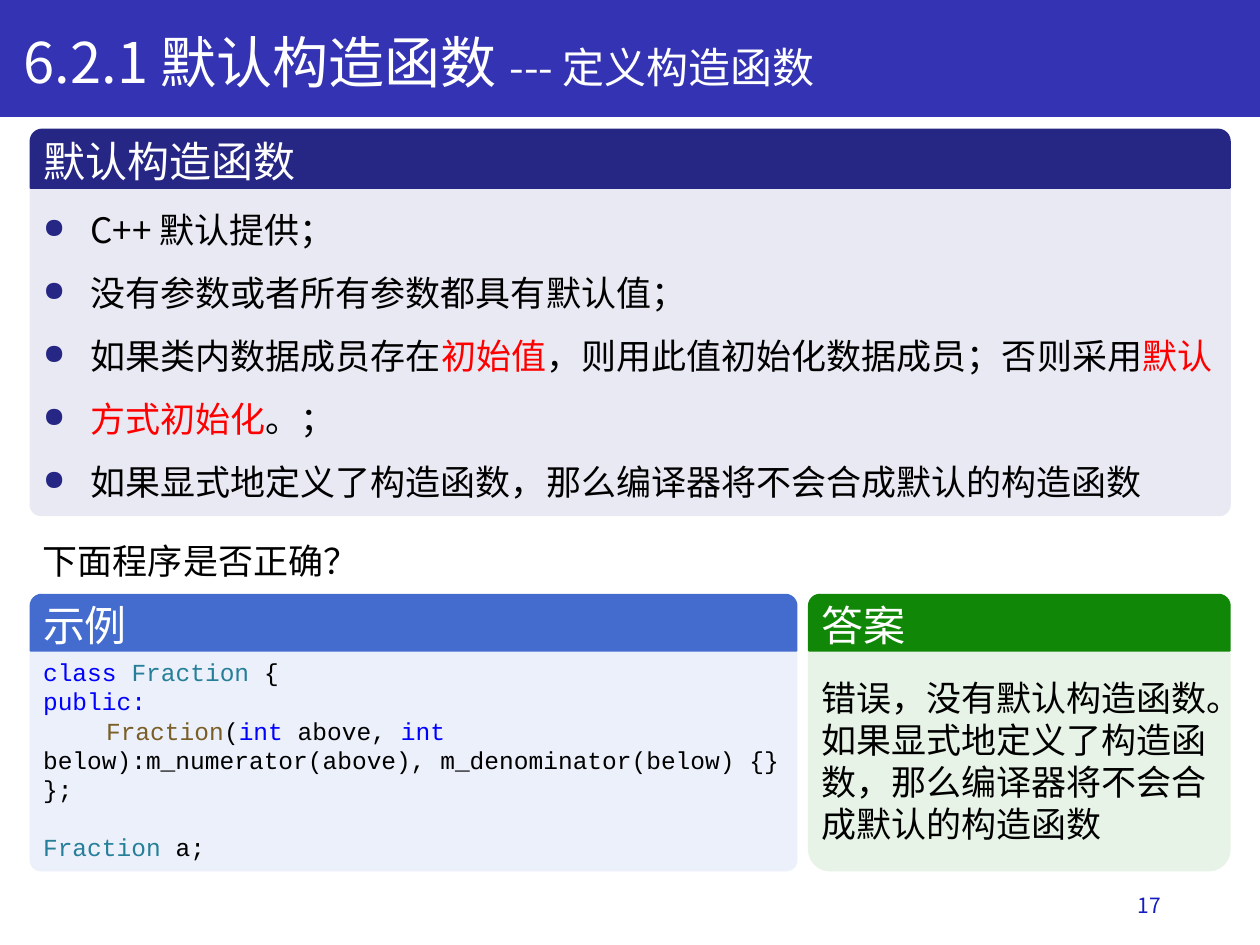
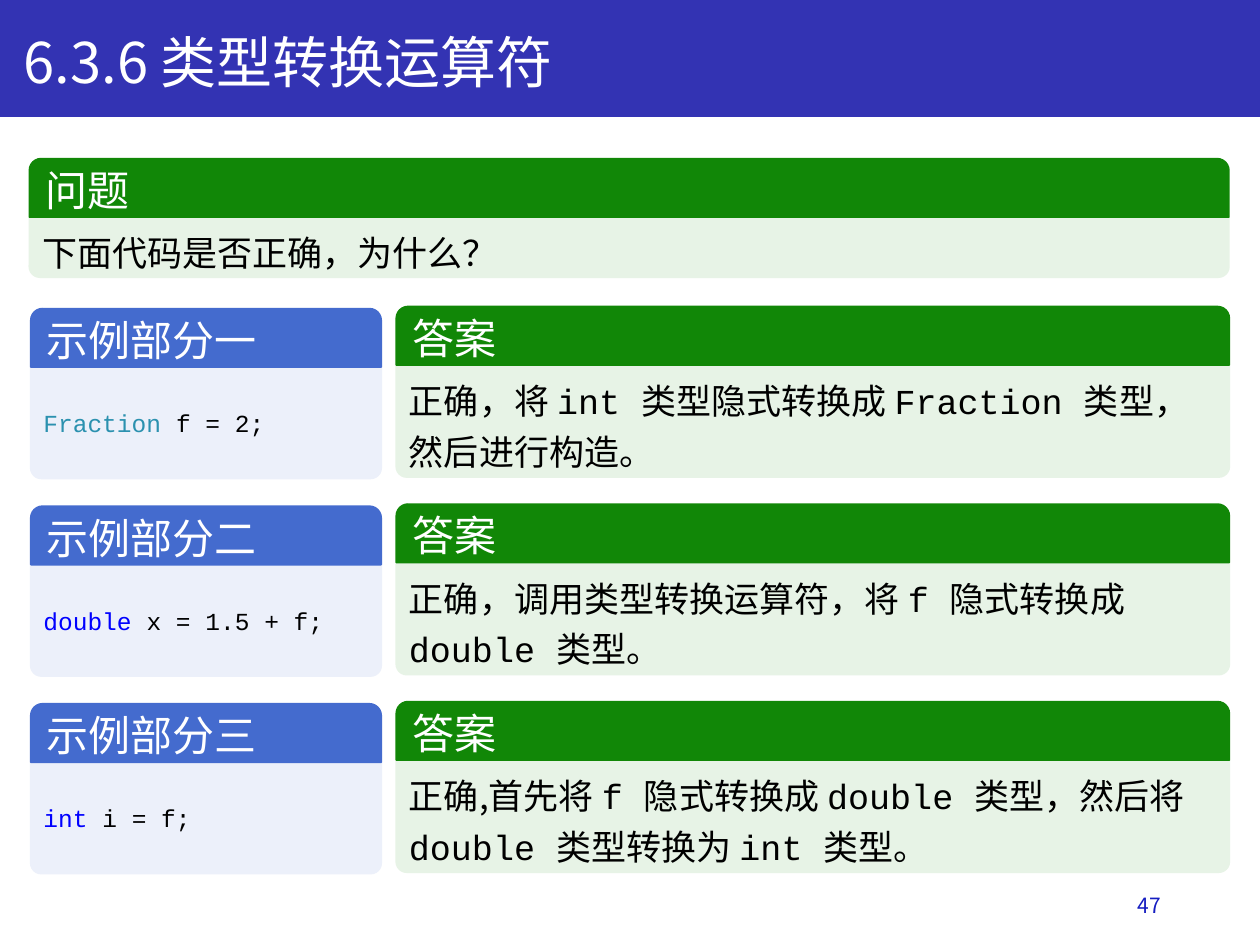
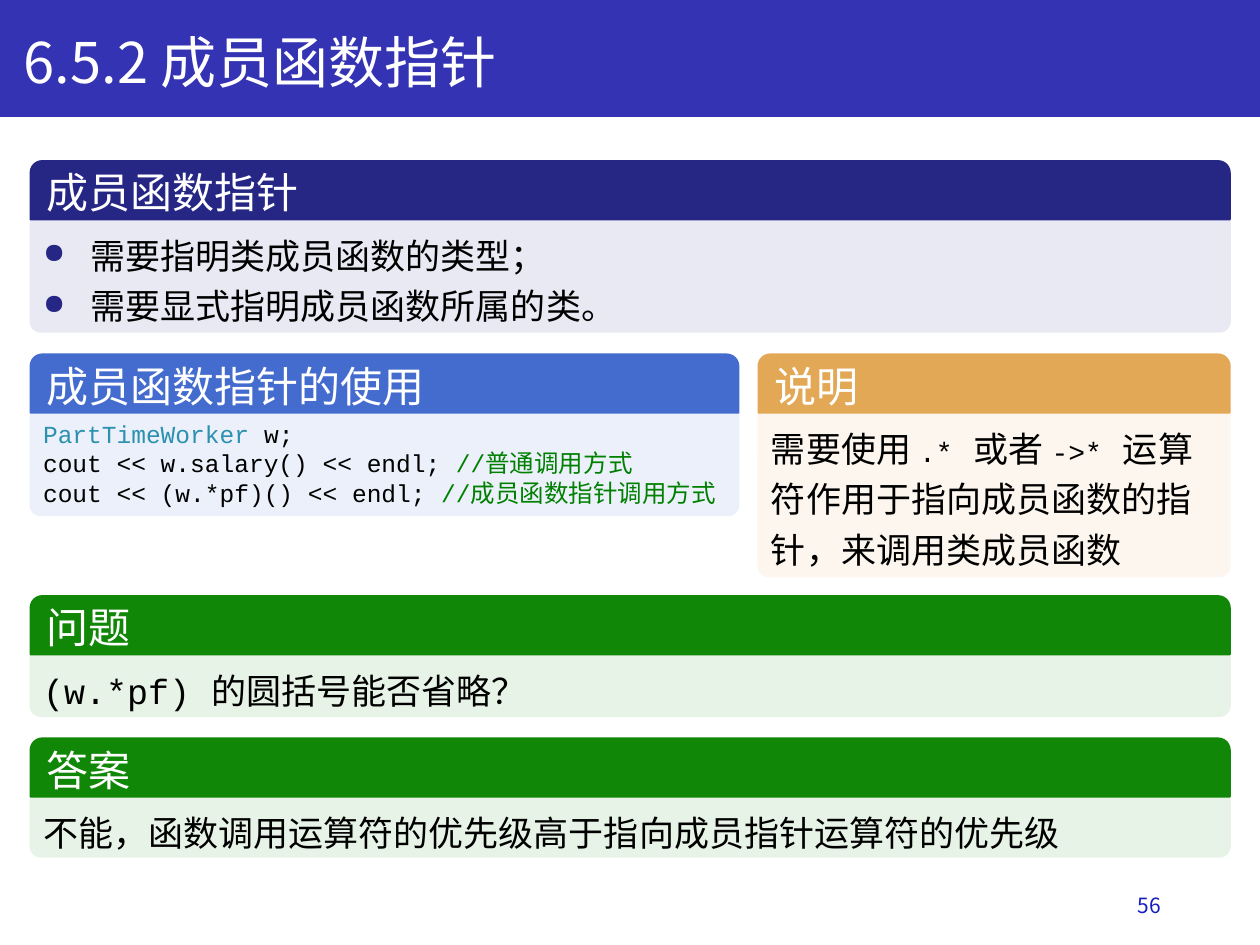
from dataclasses import dataclass

from lxml.etree import SubElement
from pptx import Presentation
from pptx.dml.color import RGBColor
from pptx.enum.shapes import MSO_SHAPE
from pptx.enum.text import MSO_ANCHOR, PP_ALIGN
from pptx.oxml.ns import qn
from pptx.util import Pt

CJK, MONO = "Noto Sans CJK SC", "Courier New"

# Text styles: font, size, colour
STYLES = {
    "title": (CJK, 32, "FFFFFF"),
    "subtitle": (CJK, 24, "FFFFFF"),
    "number": (CJK, 12, "151DC1"),
    "heading": (MONO, 24, "FFFFFF"),
    "text": (CJK, 20, "000000"),
    "warning": (CJK, 20, "FF0000"),
    "mono": (MONO, 20, "000000"),
    "operator": (MONO, 16, "000000"),
    "code": (MONO, 14, "000000"),
    "keyword": (MONO, 14, "0000FF"),
    "class": (MONO, 14, "267F99"),
    "type": (MONO, 14, "2B91AF"),
    "function": (MONO, 14, "795E26"),
    "comment": (MONO, 14, "008000"),
}

# Panel themes: heading band, body
THEMES = {
    "concept": ("262685", "E9E9F3"),
    "example": ("446BCE", "ECF0FA"),
    "answer": ("118707", "E7F3E6"),
    "note": ("E2A856", "FCF6EE"),
}
BAND = "3333B3"
BULLET = "262685"
LEFT, FULL = 17.4, 685.4
HEADING_RADIUS = 0.2


@dataclass
class Panel:
    theme: str
    heading: str
    left: float
    top: float
    width: float
    height: float
    lines: list
    spacing: float = 1.2
    bullets: bool = False
    middle: bool = False
    heading_height: float = 33.4
    heading_inset: float = 7.2
    top_inset: float = 3.6
    radius: float = 6


def write(frame, lines, spacing=1.0, bullets=False):
    """Each line is a list of (style, text) runs."""
    frame.word_wrap = True
    for index, runs in enumerate(lines):
        paragraph = frame.paragraphs[0] if index == 0 else frame.add_paragraph()
        paragraph.alignment = PP_ALIGN.LEFT
        if spacing != 1:
            paragraph.line_spacing = spacing
        if bullets:
            properties = paragraph._p.get_or_add_pPr()
            properties.set("marL", str(Pt(27)))
            properties.set("indent", str(Pt(-27)))
            colour = SubElement(properties, qn("a:buClr"))
            SubElement(colour, qn("a:srgbClr"), val=BULLET)
            SubElement(properties, qn("a:buSzPct"), val="80000")
            SubElement(properties, qn("a:buChar"), char="●")
        for style, text in runs:
            font_name, size, colour = STYLES[style]
            run = paragraph.add_run()
            run.text = text
            run.font.name = font_name
            run.font.size = Pt(size)
            run.font.color.rgb = RGBColor.from_string(colour)
            SubElement(run._r.get_or_add_rPr(), qn("a:ea"), typeface=CJK)


def add_block(slide, preset, left, top, width, height, colour):
    block = slide.shapes.add_shape(preset, Pt(left), Pt(top), Pt(width), Pt(height))
    block.shadow.inherit = False
    block.fill.solid()
    block.fill.fore_color.rgb = RGBColor.from_string(colour)
    block.line.color.rgb = RGBColor.from_string(colour)
    block.line.width = Pt(1)
    return block


constructor_panels = [
    Panel("concept", "默认构造函数", LEFT, 74, FULL, 220.4, [
        [("text", "C++ 默认提供；")],
        [("text", "没有参数或者所有参数都具有默认值；")],
        [("text", "如果类内数据成员存在"), ("warning", "初始值"),
         ("text", "，则用此值初始化数据成员；否则采用"), ("warning", "默认")],
        [("warning", "方式初始化"), ("text", "。；")],
        [("text", "如果显式地定义了构造函数，那么编译器将不会合成默认的构造函数")],
    ], spacing=1.5, bullets=True, heading_inset=5.3, top_inset=0),
    Panel("answer", "答案", 462.2, 339.8, 240.6, 157.7, [
        [("mono", "错误，没有默认构造函数。如果显式地定义了构造函数，那么编译器将不会合成默认的构造函数")],
    ], spacing=1, middle=True, heading_height=32, heading_inset=5.3, radius=12),
    Panel("example", "示例", LEFT, 339.8, 437.8, 157.7, [
        [("keyword", "class "), ("class", "Fraction"), ("code", " {")],
        [("keyword", "public:")],
        [("function", "\tFraction"), ("code", "("), ("keyword", "int"),
         ("code", " above, "), ("keyword", "int"),
         ("code", " below):m_numerator(above), m_denominator(below) {}")],
        [("code", "};")],
        [("class", "Fraction"), ("code", " a;")],
    ], spacing=1, heading_height=32, heading_inset=5.3),
]

conversion_panels = [
    Panel("answer", "问题", 16.8, 90.7, FULL, 67.7,
          [[("text", "下面代码是否正确，为什么？")]]),
]
conversions = [
    ("示例部分一", [("type", "Fraction"), ("code", " f = 2;")],
     [("text", "正确，将 "), ("mono", "int "), ("text", "类型隐式转换成 "),
      ("mono", "Fraction "), ("text", "类型，然后进行构造。")]),
    ("示例部分二", [("keyword", "double"), ("code", " x = 1.5 + f;")],
     [("text", "正确，调用类型转换运算符，将 "), ("mono", "f "),
      ("text", "隐式转换成 "), ("mono", "double "), ("text", "类型。")]),
    ("示例部分三", [("keyword", "int "), ("code", "i = f;")],
     [("text", "正确,首先将 "), ("mono", "f "), ("text", "隐式转换成 "),
      ("mono", "double "), ("text", "类型，然后将 "), ("mono", "double "),
      ("text", "类型转换为 "), ("mono", "int "), ("text", "类型。")]),
]
for row, (heading, code, answer) in enumerate(conversions):
    top = 175.2 + 112.9 * row
    conversion_panels += [
        Panel("example", heading, 17.6, top + 1.2, 200.2, 97, [code],
              spacing=1, middle=True),
        Panel("answer", "答案", 226.5, top, 476, 97.4, [answer]),
    ]

pointer_panels = [
    Panel("concept", "成员函数指针", LEFT, 92, FULL, 97.6, [
        [("text", "需要指明类成员函数的类型；")],
        [("text", "需要显式指明成员函数所属的类。")],
    ], bullets=True),
    Panel("example", "成员函数指针的使用", LEFT, 202.5, 404.6, 92, [
        [("type", "PartTimeWorker"), ("code", " w;")],
        [("code", "cout << w.salary() << endl; "), ("comment", "//普通调用方式")],
        [("code", "cout << (w.*pf)() << endl; "), ("comment", "//成员函数指针调用方式")],
    ], spacing=1),
    Panel("note", "说明", 433.4, 202.5, 269.4, 126.8, [
        [("mono", "需要使用 "), ("operator", ".*"), ("mono", " 或者 "),
         ("operator", "->*"),
         ("mono", " 运算符作用于指向成员函数的指针，来调用类成员函数")],
    ]),
    Panel("answer", "问题", LEFT, 340.6, FULL, 68.6,
          [[("mono", "(w.*pf) "), ("text", "的圆括号能否省略？")]]),
    Panel("answer", "答案", LEFT, 421.9, FULL, 67.7,
          [[("text", "不能，函数调用运算符的优先级高于指向成员指针运算符的优先级")]]),
]

pages = [
    ("17", [("title", "6.2.1 默认构造函数 "), ("subtitle", "--- 定义构造函数")],
     constructor_panels),
    ("47", [("title", "6.3.6 类型转换运算符")], conversion_panels),
    ("56", [("title", "6.5.2 成员函数指针")], pointer_panels),
]

deck = Presentation()
deck.slide_width, deck.slide_height = Pt(720), Pt(540)

for number, title, panels in pages:
    slide = deck.slides.add_slide(deck.slide_layouts[6])
    add_block(slide, MSO_SHAPE.RECTANGLE, 0, 0, 720, 66.4, BAND)

    page_number = slide.shapes.add_textbox(Pt(508.5), Pt(502.8), Pt(162), Pt(28.8)).text_frame
    page_number.vertical_anchor = MSO_ANCHOR.MIDDLE
    write(page_number, [[("number", number)]])
    page_number.paragraphs[0].alignment = PP_ALIGN.RIGHT

    title_box = slide.shapes.add_textbox(Pt(6.5), Pt(12.2), Pt(696), Pt(46))
    write(title_box.text_frame, [title])

    for panel in panels:
        heading_colour, body_colour = THEMES[panel.theme]
        body_height = panel.height - panel.heading_height
        body = add_block(slide, MSO_SHAPE.ROUND_2_SAME_RECTANGLE, panel.left,
                         panel.top + panel.heading_height, panel.width,
                         body_height, body_colour)
        body.adjustments[0] = 0
        body.adjustments[1] = panel.radius / min(panel.width, body_height)
        # The rounded corners already push the text in by 0.29 of their radius
        corner_inset = 0.29 * panel.radius
        body_text = body.text_frame
        body_text.margin_left = body_text.margin_right = Pt(7.2 - corner_inset)
        body_text.margin_top = Pt(panel.top_inset)
        body_text.margin_bottom = Pt(3.6 - corner_inset)
        body_text.vertical_anchor = MSO_ANCHOR.MIDDLE if panel.middle else MSO_ANCHOR.TOP
        write(body_text, panel.lines, panel.spacing, panel.bullets)
        if panel.heading == "示例":
            body_text.paragraphs[-1].space_before = Pt(16)

        heading_band = add_block(slide, MSO_SHAPE.ROUND_2_SAME_RECTANGLE, panel.left,
                                 panel.top, panel.width, panel.heading_height,
                                 heading_colour)
        heading_band.adjustments[0] = HEADING_RADIUS
        heading_band.text_frame.margin_left = Pt(panel.heading_inset)
        heading_band.text_frame.vertical_anchor = MSO_ANCHOR.MIDDLE
        write(heading_band.text_frame, [[("heading", panel.heading)]])

question = deck.slides[0].shapes.add_textbox(Pt(LEFT), Pt(304.6), Pt(FULL), Pt(31.7))
write(question.text_frame, [[("text", "下面程序是否正确？")]])

deck.save("out.pptx")
